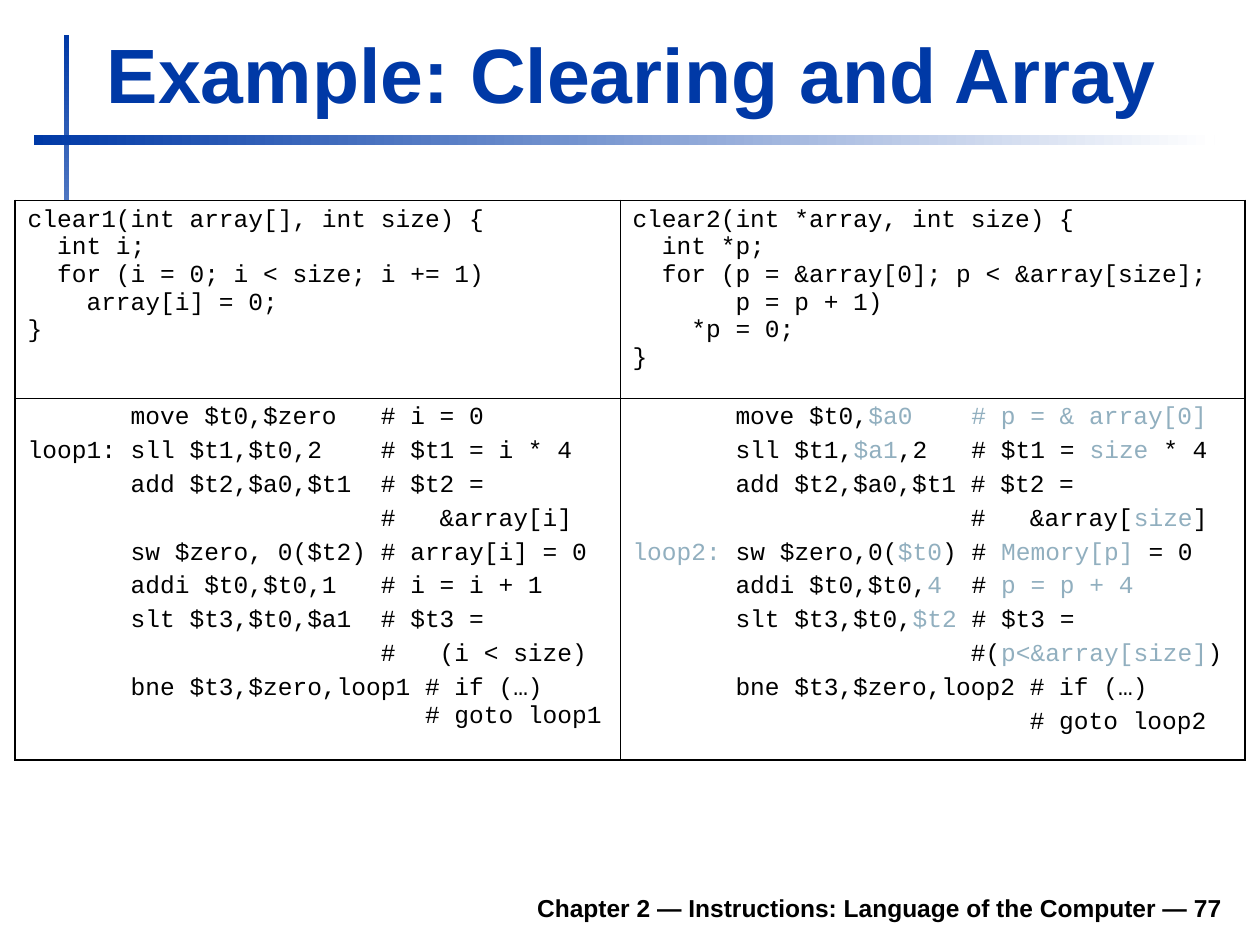
from copy import deepcopy
from itertools import product

from lxml.etree import SubElement
from pptx import Presentation
from pptx.dml.color import RGBColor
from pptx.enum.shapes import MSO_SHAPE
from pptx.enum.text import MSO_ANCHOR, PP_ALIGN
from pptx.oxml.ns import qn
from pptx.util import Inches, Pt

CLEAR1_C = """clear1(int array[], int size) {
  int i;
  for (i = 0; i < size; i += 1)
    array[i] = 0;
}"""
CLEAR2_C = """clear2(int *array, int size) {
  int *p;
  for (p = &array[0]; p < &array[size];
       p = p + 1)
    *p = 0;
}"""
CLEAR1_ASM = """       move $t0,$zero   # i = 0
loop1: sll $t1,$t0,2    # $t1 = i * 4
       add $t2,$a0,$t1  # $t2 =
                        #   &array[i]
       sw $zero, 0($t2) # array[i] = 0
       addi $t0,$t0,1   # i = i + 1
       slt $t3,$t0,$a1  # $t3 =
                        #   (i < size)
       bne $t3,$zero,loop1 # if (…)\v                           # goto loop1"""
CLEAR2_ASM = """       move $t0,~$a0    # p = & array[0]~
       sll $t1,~$a1~,2   # $t1 = ~size~ * 4
       add $t2,$a0,$t1 # $t2 =
                       #   &array[~size~]
~loop2:~ sw $zero,0(~$t0~) # ~Memory[p]~ = 0
       addi $t0,$t0,~4~  # ~p = p + 4~
       slt $t3,$t0,~$t2~ # $t3 =
                       #(~p<&array[size]~)
       bne $t3,$zero,loop2 # if (…)
                           # goto loop2"""


def rgb(value):
    """Turn a hex string into a colour."""
    return RGBColor.from_string(value)


class Deck:
    """Style of the deck and the slide being built."""

    BLUE, INK, ACCENT, PAPER = "0039A6", "000000", "91AFBF", "FFFFFF"
    SANS, MONO = "Arial", "Courier New"
    OUTER, INNER = 1.08, 0.45

    def __init__(self, prs):
        self.s = prs.slides.add_slide(prs.slide_layouts[6])

    def run(self, p, text, color, **font):
        r = p.add_run()
        r.text = text
        for name, value in font.items():
            setattr(r.font, name, value)
        r.font.color.rgb = rgb(color)
        return r

    def bar(self, box, angle):
        sp = self.s.shapes.add_shape(MSO_SHAPE.RECTANGLE, *map(Inches, box))
        sp.shadow.inherit = False
        sp.line.fill.background()
        sp.fill.gradient()
        sp.fill.gradient_angle = angle
        for stop, color in zip(sp.fill.gradient_stops, (self.BLUE, self.PAPER)):
            stop.color.rgb = rgb(color)

    def text(self, box, text, size, color, align):
        tf = self.s.shapes.add_textbox(*map(Inches, box)).text_frame
        tf.word_wrap = True
        tf.vertical_anchor = MSO_ANCHOR.BOTTOM
        p = tf.paragraphs[0]
        p.alignment = align
        self.run(p, text, color, name=self.SANS, size=Pt(size), bold=True)

    def code(self, tf, listing, gap):
        font = {"name": self.MONO, "size": Pt(14)}
        for i, line in enumerate(listing.split("\n")):
            p = tf.add_paragraph() if i else tf.paragraphs[0]
            p.space_before = Pt(gap if i else 0)
            for j, row in enumerate(line.split("\v")):
                if j:
                    p.add_line_break()
                    p._p[-1].append(deepcopy(r._r.rPr))
                for k, part in enumerate(row.split("~")):
                    if part:
                        r = self.run(p, part, self.ACCENT if k % 2 else self.INK, **font)

    def border(self, cell, side, width):
        tag = SubElement(cell._tc.get_or_add_tcPr(), qn(f"a:ln{side}"), w=str(Pt(width)))
        fill = SubElement(tag, qn("a:solidFill"))
        SubElement(fill, qn("a:srgbClr"), val=self.INK)

    def table(self, box, widths, heights, listings, gaps):
        rows, cols = len(heights), len(widths)
        tbl = self.s.shapes.add_table(rows, cols, *map(Inches, box)).table
        tbl.first_row = tbl.horz_banding = False
        for col, width in zip(tbl.columns, widths):
            col.width = Inches(width)
        for row, height in zip(tbl.rows, heights):
            row.height = Inches(height)
        for i, j in product(range(rows), range(cols)):
            cell = tbl.cell(i, j)
            edges = {"L": j == 0, "R": j == cols - 1, "T": i == 0, "B": i == rows - 1}
            for side, outer in edges.items():
                self.border(cell, side, self.OUTER if outer else self.INNER)
            cell.fill.solid()
            cell.fill.fore_color.rgb = rgb(self.PAPER)
            self.code(cell.text_frame, listings[i][j], gaps[i])


def main():
    prs = Presentation()
    prs.slide_width, prs.slide_height = Inches(10), Inches(7.5)
    deck = Deck(prs)
    deck.bar((0.51, 0.28, 0.04, 4.17), 270)
    deck.bar((0.27, 1.07, 9.37, 0.08), 0)
    deck.text((1.85, 6.98, 7.95, 0.39),
              "Chapter 2 — Instructions: Language of the Computer — 77",
              14, deck.INK, PP_ALIGN.RIGHT)
    deck.text((0.75, 0.16, 9.03, 0.83), "Example: Clearing and Array",
              44, deck.BLUE, PP_ALIGN.LEFT)
    deck.table((0.12, 1.59, 9.76, 4.44), (4.8, 4.96), (1.57, 2.87),
               ((CLEAR1_C, CLEAR2_C), (CLEAR1_ASM, CLEAR2_ASM)), (0, 3.5))
    prs.save("out.pptx")


if __name__ == "__main__":
    main()
